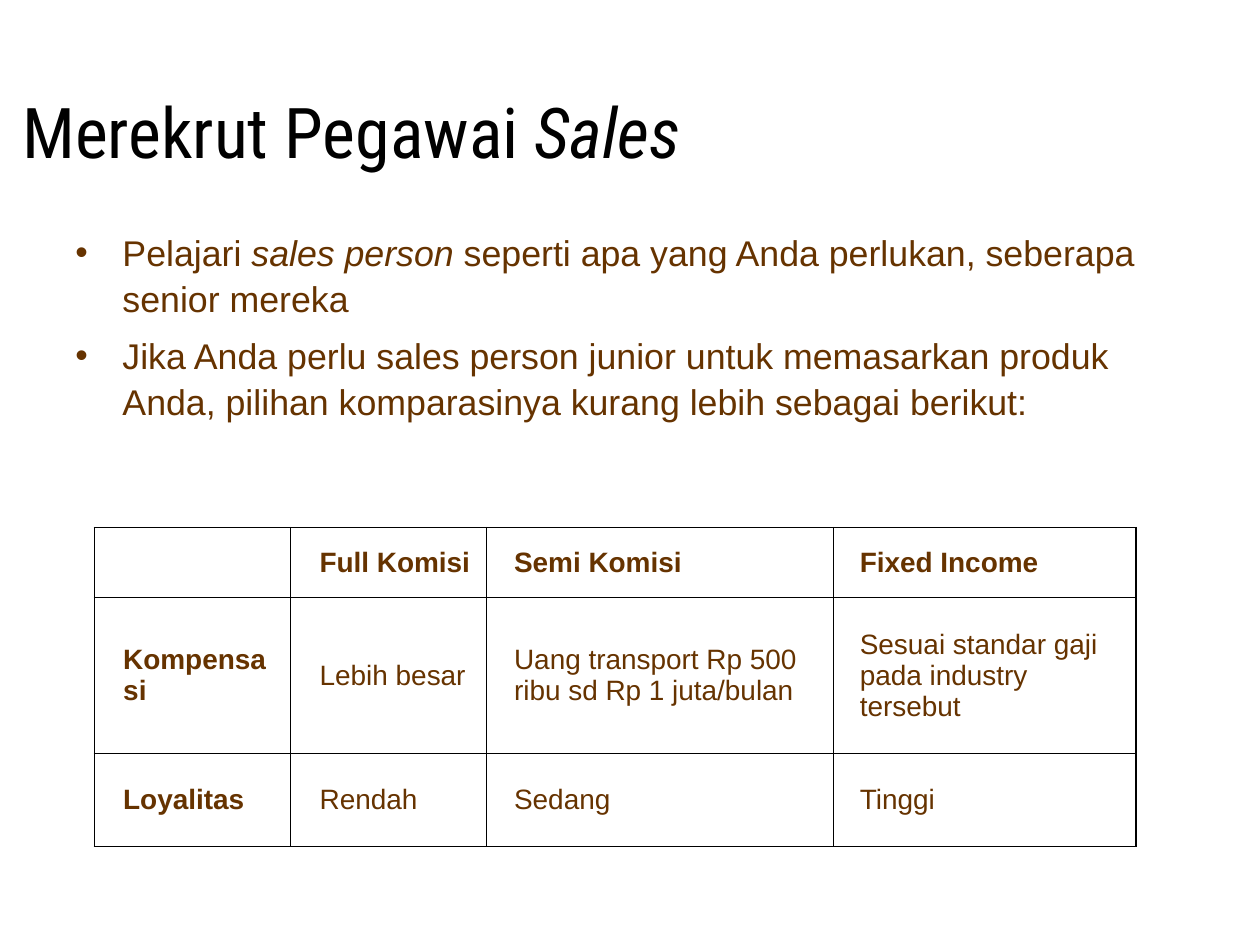
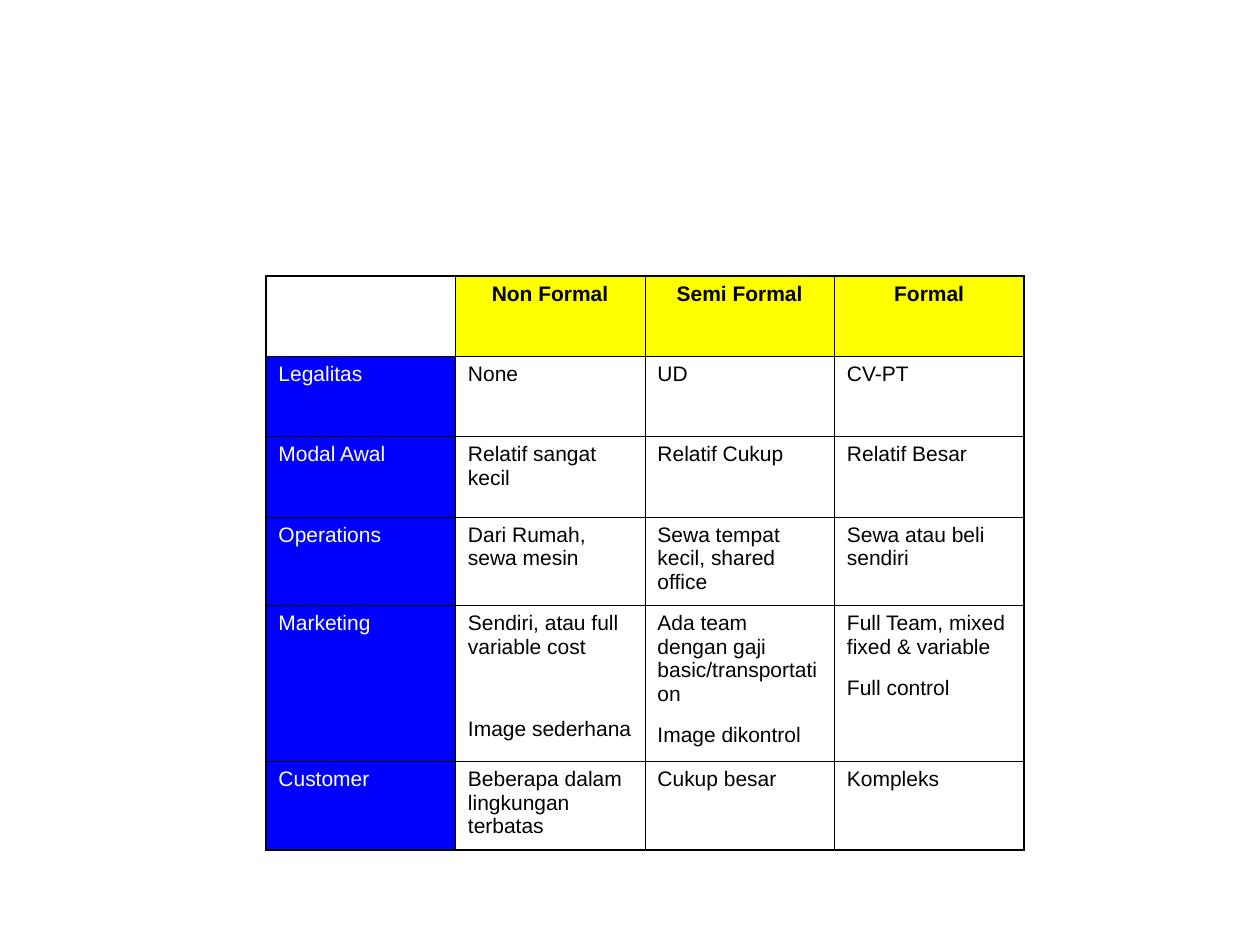
from lxml import etree
from pptx import Presentation
from pptx.dml.color import RGBColor
from pptx.enum.text import MSO_ANCHOR, PP_ALIGN
from pptx.oxml.ns import qn
from pptx.util import Cm, Pt

BROWN = RGBColor(0x66, 0x33, 0x00)
BLACK = RGBColor(0, 0, 0)
WHITE = RGBColor(0xFF, 0xFF, 0xFF)
YELLOW = RGBColor(0xFF, 0xFF, 0)
BLUE = RGBColor(0, 0, 0xFF)

TOP, MIDDLE = MSO_ANCHOR.TOP, MSO_ANCHOR.MIDDLE
LEFT, CENTER = PP_ALIGN.LEFT, PP_ALIGN.CENTER

TITLE_FONT, BODY_FONT = "Roboto Condensed", "Arial"
INNER = 0.45


class Deck:
    """Holds the shared style and the current slide."""

    def __init__(self):
        """Start an empty 4:3 presentation."""
        self.prs = Presentation()
        self.prs.slide_width, self.prs.slide_height = Cm(25.4), Cm(19.05)
        self.s = None

    def slide(self):
        """Add a blank slide and make it current."""
        self.s = self.prs.slides.add_slide(self.prs.slide_layouts[6])

    def run(self, p, text, size, color=BLACK, font=BODY_FONT, bold=False, italic=False):
        """Add one styled run to a paragraph."""
        r = p.add_run()
        r.text = text
        f = r.font
        f.name, f.size, f.bold, f.italic = font, Pt(size), bold, italic
        f.color.rgb = color

    def text_frame(self, x, y, w, h, anchor=TOP):
        """Add a wrapping text box and return its text frame."""
        tf = self.s.shapes.add_textbox(Cm(x), Cm(y), Cm(w), Cm(h)).text_frame
        tf.word_wrap = True
        tf.vertical_anchor = anchor
        return tf

    def title(self, parts):
        """Add the slide title from (text, italic) parts."""
        p = self.text_frame(0.2, 1.27, 17.35, 2.74, MIDDLE).paragraphs[0]
        for text, italic in parts:
            self.run(p, text, 40, font=TITLE_FONT, italic=italic)

    def bullets(self, items):
        """Add the bulleted body; each item is a list of (text, italic) parts."""
        tf = self.text_frame(1.27, 4.45, 22.86, 4.88)
        for i, parts in enumerate(items):
            p = tf.add_paragraph() if i else tf.paragraphs[0]
            p.space_before = Pt(6)
            p.line_spacing = 1.08
            for text, italic in parts:
                self.run(p, text, 20.4, BROWN, italic=italic)
            self.bullet(p)

    def bullet(self, p):
        """Give a paragraph a hanging brown bullet."""
        pPr = p._p.get_or_add_pPr()
        pPr.set("marL", str(Cm(0.95)))
        pPr.set("indent", str(-Cm(0.95)))
        clr = etree.SubElement(pPr, qn("a:buClr"))
        etree.SubElement(clr, qn("a:srgbClr"), val=str(BROWN))
        etree.SubElement(pPr, qn("a:buFont"), typeface=BODY_FONT)
        etree.SubElement(pPr, qn("a:buChar"), char="•")

    def table(self, x, y, widths, heights, outer):
        """Add a plain ruled table with a heavier outer frame."""
        rows, cols = len(heights), len(widths)
        tbl = self.s.shapes.add_table(rows, cols, Cm(x), Cm(y),
                                      Cm(sum(widths)), Cm(sum(heights))).table
        tbl.first_row = tbl.horz_banding = False
        for col, w in zip(tbl.columns, widths):
            col.width = Cm(w)
        for row, h in zip(tbl.rows, heights):
            row.height = Cm(h)
        for i in range(rows):
            for j in range(cols):
                cell = tbl.cell(i, j)
                cell.fill.background()
                edges = {"a:lnL": j == 0, "a:lnR": j == cols - 1,
                         "a:lnT": i == 0, "a:lnB": i == rows - 1}
                self.borders(cell, edges, outer)
        return tbl

    def borders(self, cell, edges, outer):
        """Rule the four sides of a cell; edges tells which are on the frame."""
        tcPr = cell._tc.get_or_add_tcPr()
        for k, (tag, on_frame) in enumerate(edges.items()):
            width = Pt(outer if on_frame else INNER)
            ln = etree.Element(qn(tag), w=str(width))
            fill = etree.SubElement(ln, qn("a:solidFill"))
            etree.SubElement(fill, qn("a:srgbClr"), val=str(BLACK))
            tcPr.insert(k, ln)

    def cell(self, cell, texts, size, color, bold=False, align=LEFT,
             anchor=TOP, before=0, after=0, indent=0):
        """Write one paragraph per text into a cell."""
        cell.vertical_anchor = anchor
        tf = cell.text_frame
        for i, text in enumerate(texts):
            p = tf.add_paragraph() if i else tf.paragraphs[0]
            p.alignment = align
            p.space_before, p.space_after = Pt(before), Pt(after)
            p._p.get_or_add_pPr().set("marL", str(Cm(indent)))
            self.run(p, text, size, color, bold=bold)


def recruiting(d):
    """Slide about recruiting sales staff, with the pay comparison."""
    d.slide()
    d.title([("Merekrut Pegawai ", False), ("Sales", True)])
    d.bullets([
        [("Pelajari ", False), ("sales person", True),
         (" seperti apa yang Anda perlukan, seberapa senior mereka", False)],
        [("Jika Anda perlu sales person junior untuk memasarkan produk Anda, "
          "pilihan komparasinya kurang lebih sebagai berikut:", False)],
    ])
    data = [
        ["", "Full Komisi", "Semi Komisi", "Fixed Income"],
        ["Kompensasi", "Lebih besar", "Uang transport Rp 500 ribu sd Rp 1 juta/bulan",
         "Sesuai standar gaji pada industry tersebut"],
        ["Loyalitas", "Rendah", "Sedang", "Tinggi"],
    ]
    indents = [0.33, 0.33, 0.3, 0.28]
    tbl = d.table(1.9, 10.63, [3.96, 3.95, 6.99, 6.1], [1.42, 3.14, 1.88], 0.74)
    for i, row in enumerate(data):
        for j, text in enumerate(row):
            if text:
                d.cell(tbl.cell(i, j), [text], 16, BROWN, bold=i == 0 or j == 0,
                       anchor=MIDDLE, before=12, indent=indents[j])


def business_forms(d):
    """Slide comparing non formal, semi formal and formal businesses."""
    d.slide()
    data = [
        ["", "Non Formal", "Semi Formal", "Formal"],
        ["Legalitas", "None", "UD", "CV-PT"],
        ["Modal Awal", "Relatif sangat kecil", "Relatif Cukup", "Relatif Besar"],
        ["Operations", "Dari Rumah, sewa mesin", "Sewa tempat kecil, shared office",
         "Sewa atau beli sendiri"],
        ["Marketing", "Sendiri, atau full variable cost\nImage sederhana",
         "Ada team dengan gaji basic/transportation\nImage dikontrol",
         "Full Team, mixed fixed & variable\nFull control"],
        ["Customer", "Beberapa dalam lingkungan terbatas", "Cukup besar", "Kompleks"],
    ]
    tbl = d.table(5.36, 5.56, [3.82] * 4, [1.62, 1.62, 1.62, 1.78, 3.15, 1.78], 1.08)
    for i, row in enumerate(data):
        for j, text in enumerate(row):
            if not text:
                continue
            cell = tbl.cell(i, j)
            head, side = i == 0, j == 0
            if head or side:
                cell.fill.solid()
                cell.fill.fore_color.rgb = YELLOW if head else BLUE
            d.cell(cell, text.split("\n"), 12, WHITE if side else BLACK, bold=head,
                   align=CENTER if head else LEFT, after=10)
    # The simple image line stands one line lower than its neighbours.
    tbl.cell(4, 1).text_frame.paragraphs[1].space_before = Pt(23.4)


def main():
    """Build and save the deck."""
    d = Deck()
    recruiting(d)
    business_forms(d)
    d.prs.save("out.pptx")


main()
